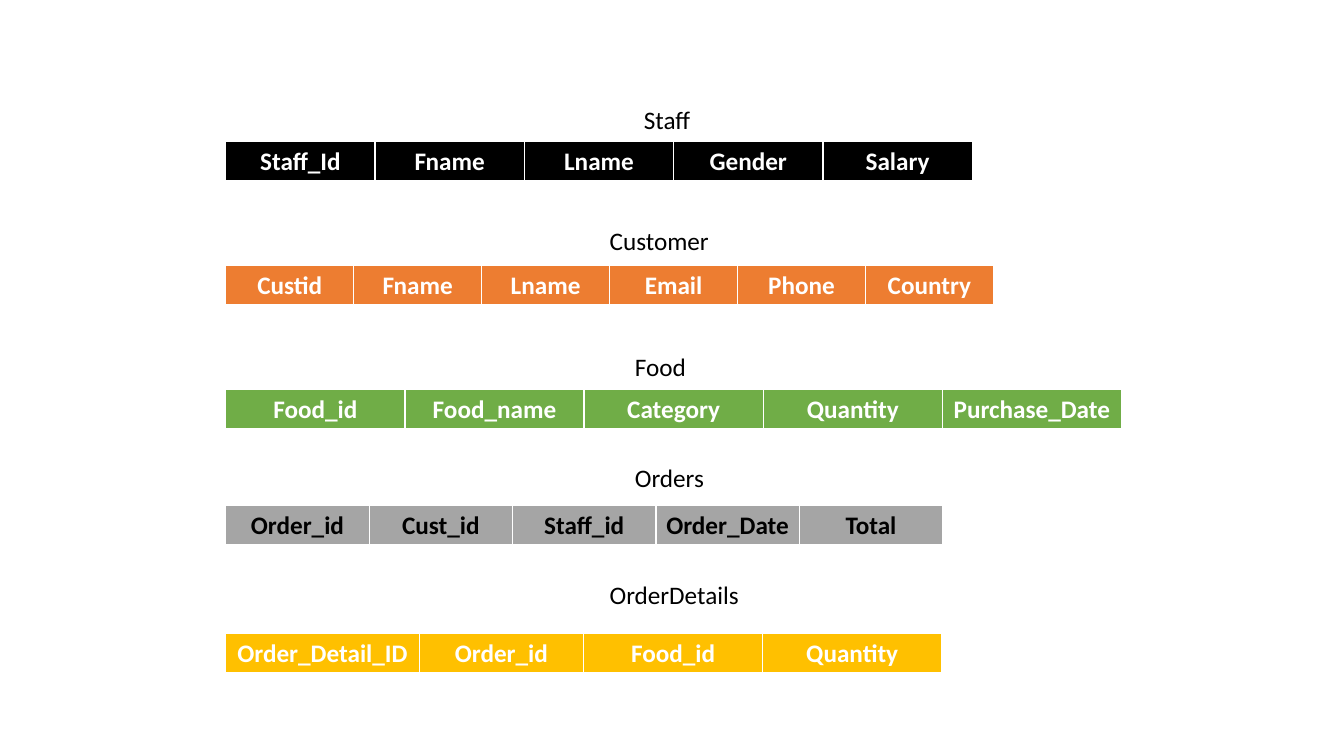
from dataclasses import dataclass

from lxml.etree import SubElement
from pptx import Presentation
from pptx.dml.color import RGBColor
from pptx.enum.text import MSO_AUTO_SIZE, PP_ALIGN
from pptx.oxml.ns import qn
from pptx.slide import Slide
from pptx.util import Inches, Pt

SLIDE_WIDTH, SLIDE_HEIGHT = Inches(13.33), Inches(7.5)
WHITE, BLACK = "FFFFFF", "000000"


def color(hex_code):
    """Turn a hex string into a colour."""
    return RGBColor.from_string(hex_code)


def across(percent):
    """Length as a percentage of the slide's width."""
    return round(SLIDE_WIDTH * percent / 100)


def down(percent):
    """Length as a percentage of the slide's height."""
    return round(SLIDE_HEIGHT * percent / 100)


@dataclass
class SchemaSlide:
    """Holds the slide and the style shared by its relations."""
    slide: Slide
    font: str = "Calibri"
    size: int = 18
    left: float = 16.8
    row_height: float = 5.41
    label_height: float = 5.3

    def style(self, paragraph, ink, bold=False):
        """Format every run of a paragraph."""
        for run in paragraph.runs:
            run.font.name, run.font.size = self.font, Pt(self.size)
            run.font.bold, run.font.color.rgb = bold, color(ink)

    def title(self, name, left, top, width):
        """Add the name of a relation."""
        box = self.slide.shapes.add_textbox(
            across(left), down(top), across(width), down(self.label_height))
        frame = box.text_frame
        frame.word_wrap = True
        frame.auto_size = MSO_AUTO_SIZE.SHAPE_TO_FIT_TEXT
        frame.text = name
        self.style(frame.paragraphs[0], BLACK)

    def borders(self, cell):
        """Draw thin white sides and a thick white bottom edge."""
        properties = cell._tc.get_or_add_tcPr()
        for edge, points in (("lnL", 1), ("lnR", 1), ("lnT", 1), ("lnB", 3)):
            line = SubElement(properties, qn(f"a:{edge}"), w=str(Pt(points)))
            fill = SubElement(line, qn("a:solidFill"))
            SubElement(fill, qn("a:srgbClr"), val=WHITE)

    def attributes(self, names, top, widths, fill, ink):
        """Add a one-row table of attribute names."""
        table = self.slide.shapes.add_table(
            1, len(names), across(self.left), down(top),
            across(sum(widths)), down(self.row_height)).table
        table.horz_banding = False
        for column, cell, name, width in zip(
                table.columns, table.rows[0].cells, names, widths):
            column.width = across(width)
            self.borders(cell)
            cell.fill.solid()
            cell.fill.fore_color.rgb = color(fill)
            cell.text_frame.text = name
            heading = cell.text_frame.paragraphs[0]
            heading.alignment = PP_ALIGN.CENTER
            self.style(heading, ink, bold=True)


# name, (left, top, width) of title, attributes, table top, widths, fill, ink
RELATIONS = [
    ("Staff", (47.17, 13.2, 10.12),
     ["Staff_Id", "Fname", "Lname", "Gender", "Salary"],
     18.67, [11.11] * 5, BLACK, WHITE),
    ("Customer", (44.62, 29.2, 10.95),
     ["Custid", "Fname", "Lname", "Email", "Phone", "Country"],
     35.07, [9.52] * 6, "ED7D31", WHITE),
    ("Food", (46.5, 45.87, 5.7),
     ["Food_id", "Food_name", "Category", "Quantity", "Purchase_Date"],
     51.47, [13.33] * 5, "70AD47", WHITE),
    ("Orders", (46.5, 60.53, 8.4),
     ["Order_id", "Cust_id", "Staff_id", "Order_Date", "Total"],
     66.8, [10.67] * 5, "A5A5A5", BLACK),
    ("OrderDetails", (44.62, 76, 13.35),
     ["Order_Detail_ID", "Order_id", "Food_id", "Quantity"],
     83.73, [14.4, 12.22, 13.33, 13.33], "FFC000", WHITE),
]

presentation = Presentation()
presentation.slide_width, presentation.slide_height = SLIDE_WIDTH, SLIDE_HEIGHT
schema = SchemaSlide(presentation.slides.add_slide(presentation.slide_layouts[6]))
for relation, title_place, names, top, widths, fill, ink in RELATIONS:
    schema.attributes(names, top, widths, fill, ink)
    schema.title(relation, *title_place)
presentation.save("out.pptx")
